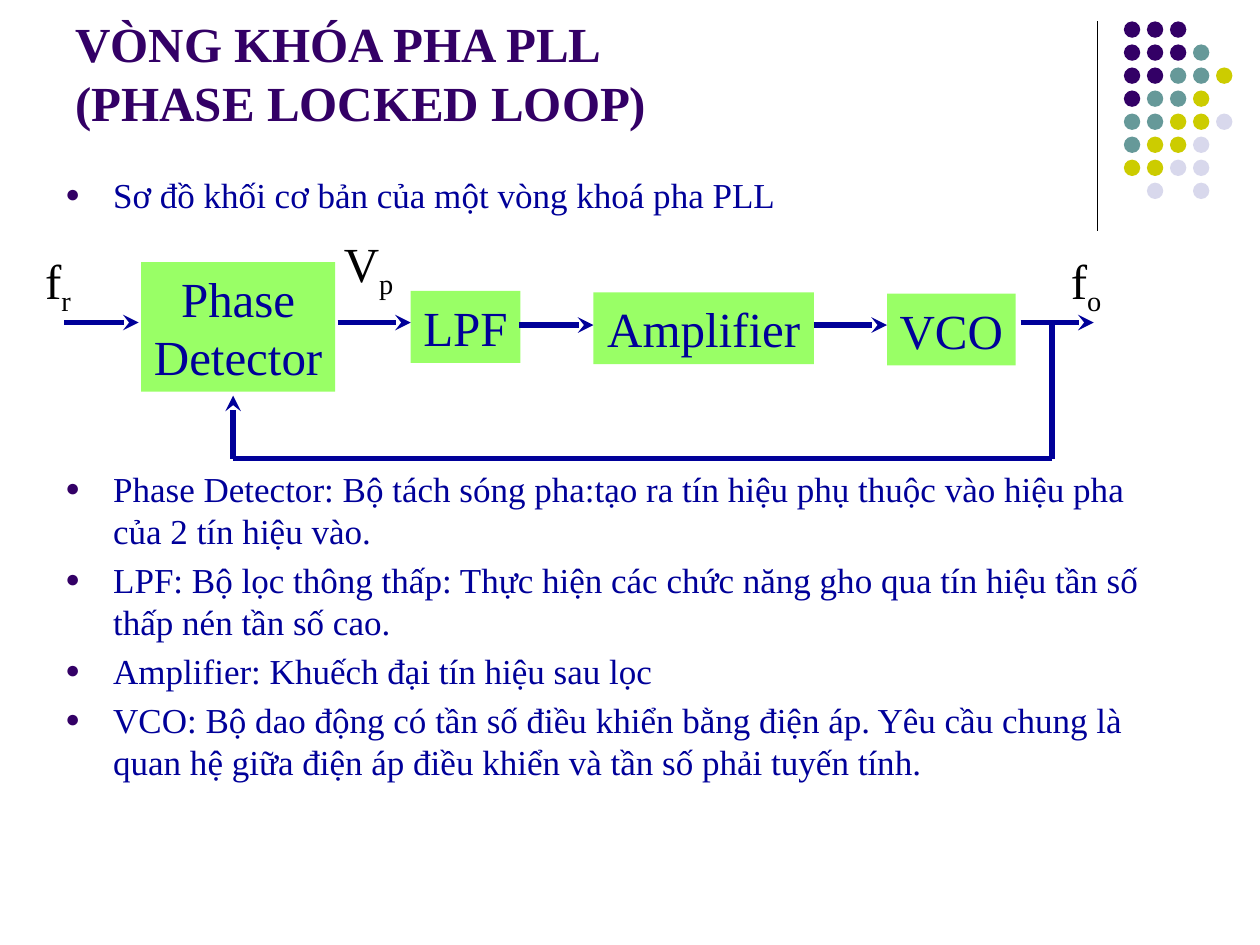
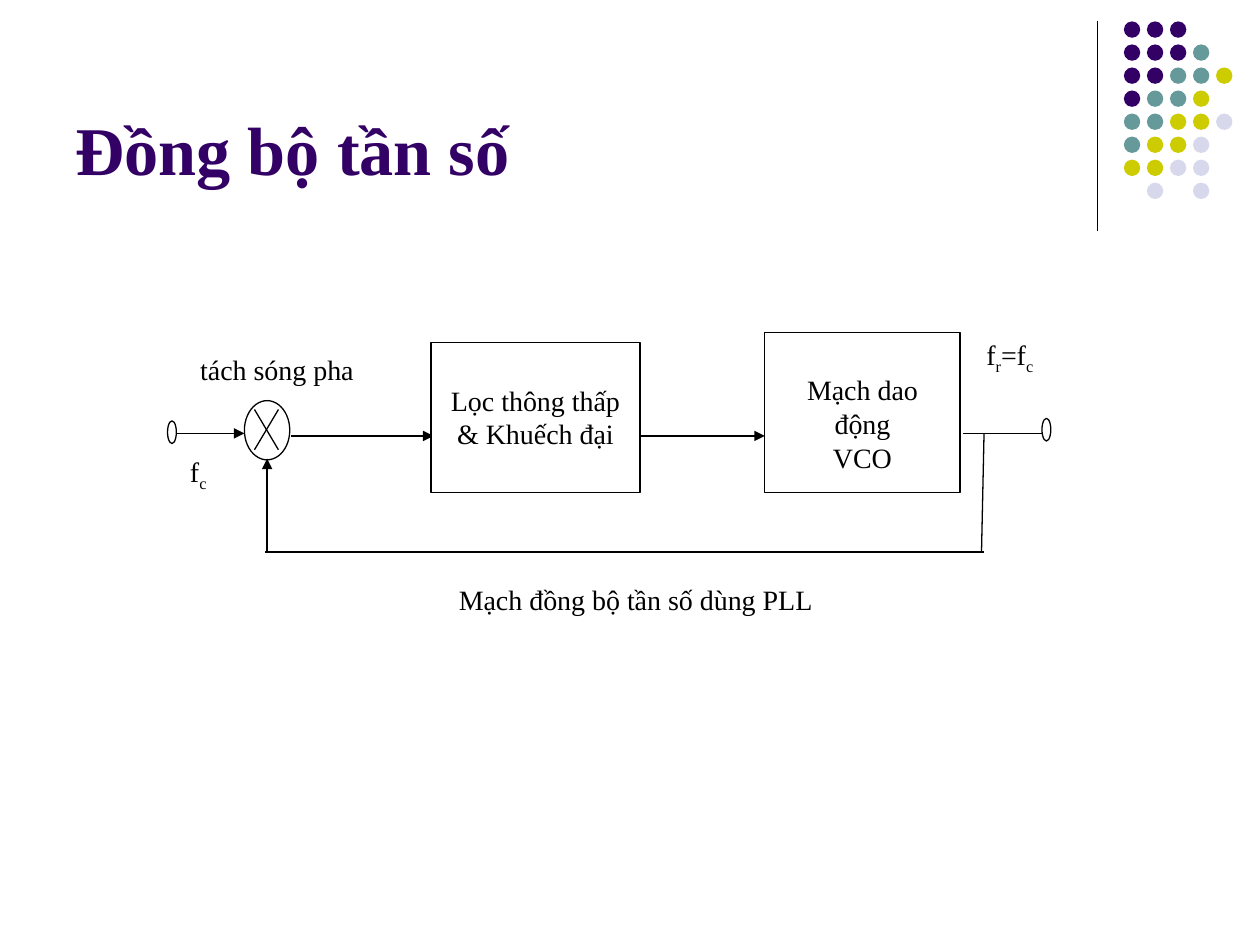
from dataclasses import dataclass

from lxml.etree import SubElement
from pptx import Presentation
from pptx.dml.color import RGBColor
from pptx.enum.shapes import MSO_CONNECTOR, MSO_SHAPE
from pptx.enum.text import MSO_ANCHOR, PP_ALIGN
from pptx.oxml.ns import qn
from pptx.util import Inches, Pt


@dataclass(frozen=True)
class Theme:
    font: str = "Times New Roman"
    purple: str = "330066"
    teal: str = "669999"
    olive: str = "CCCC00"
    lilac: str = "D8D8EC"
    navy: str = "000099"
    green: str = "99FF66"
    black: str = "000000"
    white: str = "FFFFFF"
    title_size: int = 39
    long_title_size: int = 28
    body_size: int = 20
    block_size: int = 28
    circuit_size: int = 16
    thick: float = 3
    thin: float = 0.75


THEME = Theme()
LEFT, CENTER = PP_ALIGN.LEFT, PP_ALIGN.CENTER
TOP, MIDDLE, BOTTOM = MSO_ANCHOR.TOP, MSO_ANCHOR.MIDDLE, MSO_ANCHOR.BOTTOM

# Corner ornament: one letter per dot
DOT_ROWS = ("PPP", "PPPT", "PPTTO", "PTTO", "TTOOL", "TOOL", "OOLL", " L L")
DOT_COLORS = {"P": THEME.purple, "T": THEME.teal, "O": THEME.olive, "L": THEME.lilac}
DOT_LEFT, DOT_TOP, DOT_SIZE = 8.92, 0.17, 0.13
DOT_PITCH = 1.28 / (len(DOT_ROWS) - 1)
DIVIDER = (8.71, 0.17, 8.71, 1.83)

# Slide 1: areas are left, top, width, height; wires are x1, y1, x2, y2, head
PLL_TITLE = "VÒNG KHÓA PHA PLL\v(PHASE LOCKED LOOP)"
PLL_TITLE_AREA = (0.5, 0.22, 8.25, 0.87)
PLL_POINTS = [
    ((0.42, 1.33, 9, 0.5), ["Sơ đồ khối cơ bản của một vòng khoá pha PLL"]),
    ((0.42, 3.66, 9, 2.96), [
        "Phase Detector: Bộ tách sóng pha:tạo ra tín hiệu phụ thuộc vào hiệu pha của 2 tín hiệu vào.",
        "LPF: Bộ lọc thông thấp: Thực hiện các chức năng gho qua tín hiệu tần số thấp nén tần số cao.",
        "Amplifier: Khuếch đại tín hiệu sau lọc",
        "VCO: Bộ dao động có tần số điều khiển bằng điện áp. Yêu cầu chung là quan hệ giữa "
        "điện áp điều khiển và tần số phải tuyến tính.",
    ]),
]
PLL_BLOCKS = [
    (["Phase", "Detector"], (1.12, 2.08, 1.54, 1.03)),
    (["LPF"], (3.26, 2.31, 0.87, 0.57)),
    (["Amplifier"], (4.71, 2.32, 1.75, 0.57)),
    (["VCO"], (7.04, 2.33, 1.02, 0.57)),
]
PLL_WIRES = [
    (0.51, 2.56, 1.1, 2.56, "stealth"),
    (2.68, 2.56, 3.26, 2.56, "stealth"),
    (4.12, 2.58, 4.71, 2.58, "stealth"),
    (6.46, 2.58, 7.04, 2.58, "stealth"),
    (8.1, 2.56, 8.68, 2.56, "stealth"),
    (8.35, 3.64, 8.35, 2.56, None),
    (8.35, 3.64, 1.85, 3.64, None),
    (1.85, 3.64, 1.85, 3.14, "stealth"),
]
# An underscore lowers the letter after it
PLL_SIGNALS = [
    ("f_r", (0.25, 1.97, 0.42, 0.57)),
    ("V_p", (2.62, 1.83, 0.61, 0.57)),
    ("f_o", (8.39, 1.97, 0.46, 0.57)),
]

# Slide 2
SYNC_TITLE = "Đồng bộ tần số"
SYNC_TITLE_AREA = (0.5, 0.13, 8.25, 1.42)
MIXER = (1.94, 3.18, 0.36, 0.47)
TERMINALS = [(1.33, 3.34, 0.07, 0.18), (8.27, 3.32, 0.07, 0.18)]
SYNC_WIRES = [
    (2.02, 3.25, 2.21, 3.57, None),
    (2.02, 3.57, 2.21, 3.25, None),
    (1.4, 3.44, 1.94, 3.44, "triangle"),
    (2.31, 3.46, 3.44, 3.46, "triangle"),
    (4.99, 3.46, 6.07, 3.46, "triangle"),
    (7.64, 3.44, 8.27, 3.44, None),
    (7.81, 3.44, 7.79, 4.38, None),
    (7.81, 4.38, 2.1, 4.38, None),
    (2.12, 4.38, 2.12, 3.64, "triangle"),
]
SYNC_BLOCKS = [
    (["Lọc thông thấp", "& Khuếch đại"], (3.42, 2.72, 1.66, 1.19)),
    (["Mạch dao động", "VCO"], (6.07, 2.64, 1.55, 1.27)),
]
SYNC_BLOCK_MARGIN = 0.32
SYNC_LABELS = [
    ("f_r=f_c", (7.73, 2.63, 0.77, 0.59), LEFT),
    ("f_c", (1.41, 3.56, 0.5, 0.59), LEFT),
    ("tách sóng pha", (1.49, 2.75, 1.68, 0.42), LEFT),
    ("Mạch đồng bộ tần số dùng PLL", (2.46, 4.57, 5.17, 0.52), CENTER),
]


def rgb(color):
    return RGBColor.from_string(color)


def inches(values):
    return [Inches(value) for value in values]


def style_run(run, size, color, bold=False):
    run.font.name, run.font.size, run.font.bold = THEME.font, Pt(size), bold
    run.font.color.rgb = rgb(color)


def write(shape, lines, size, color, align=LEFT, anchor=TOP, wrap=True, bold=False):
    frame = shape.text_frame
    frame.word_wrap, frame.vertical_anchor = wrap, anchor
    frame.text = "\n".join(lines)
    for paragraph in frame.paragraphs:
        paragraph.alignment = align
        for run in paragraph.runs:
            style_run(run, size, color, bold)
    return frame


def write_signal(shape, signal, size, color, **layout):
    """Write a symbol such as f_r with its index as a subscript."""
    base, *indexed = signal.split("_")
    paragraph = write(shape, [base], size, color, **layout).paragraphs[0]
    for part in indexed:
        for text, baseline in ((part[0], "-25000"), (part[1:], "0")):
            if text:
                run = paragraph.add_run()
                run.text = text
                style_run(run, size, color)
                run.font._element.set("baseline", baseline)


def add_bullets(paragraph):
    props = paragraph._p.get_or_add_pPr()
    props.set("marL", str(Inches(0.38)))
    props.set("indent", str(-Inches(0.38)))
    paragraph.space_before = Pt(4)
    bullet_color = SubElement(props, qn("a:buClr"))
    SubElement(bullet_color, qn("a:srgbClr"), val=THEME.purple)
    SubElement(props, qn("a:buSzPct"), val="70000")
    SubElement(props, qn("a:buFont"), typeface=THEME.font)
    SubElement(props, qn("a:buChar"), char="●")


def add_figure(slide, kind, area, fill, outline=None):
    figure = slide.shapes.add_shape(kind, *inches(area))
    figure.shadow.inherit = False
    figure.fill.solid()
    figure.fill.fore_color.rgb = rgb(fill)
    if outline:
        figure.line.color.rgb = rgb(outline)
        figure.line.width = Pt(THEME.thin)
    else:
        figure.line.fill.background()
    return figure


def add_wire(slide, ends, color, width, head=None):
    wire = slide.shapes.add_connector(MSO_CONNECTOR.STRAIGHT, *inches(ends))
    wire.line.color.rgb = rgb(color)
    wire.line.width = Pt(width)
    if head:
        SubElement(wire.line._get_or_add_ln(), qn("a:tailEnd"), type=head)
    SubElement(wire._element.spPr, qn("a:effectLst"))


def start_slide(deck, title, area, size):
    """Add a blank slide with the corner ornament and its title."""
    slide = deck.slides.add_slide(deck.slide_layouts[6])
    add_wire(slide, DIVIDER, THEME.black, THEME.thin)
    for row, dots in enumerate(DOT_ROWS):
        for column, dot in enumerate(dots):
            if dot in DOT_COLORS:
                spot = (DOT_LEFT + column * DOT_PITCH, DOT_TOP + row * DOT_PITCH, DOT_SIZE, DOT_SIZE)
                add_figure(slide, MSO_SHAPE.OVAL, spot, DOT_COLORS[dot])
    heading = slide.shapes.add_textbox(*inches(area))
    write(heading, [title], size, THEME.purple, anchor=BOTTOM, bold=True)
    return slide


def build_pll(deck):
    slide = start_slide(deck, PLL_TITLE, PLL_TITLE_AREA, THEME.long_title_size)
    for area, points in PLL_POINTS:
        body = slide.shapes.add_textbox(*inches(area))
        for paragraph in write(body, points, THEME.body_size, THEME.navy).paragraphs:
            add_bullets(paragraph)
    centred = dict(align=CENTER, anchor=MIDDLE, wrap=False)
    for lines, area in PLL_BLOCKS:
        block = add_figure(slide, MSO_SHAPE.RECTANGLE, area, THEME.green)
        write(block, lines, THEME.block_size, THEME.navy, **centred)
    for *ends, head in PLL_WIRES:
        add_wire(slide, ends, THEME.navy, THEME.thick, head)
    for signal, area in PLL_SIGNALS:
        label = slide.shapes.add_textbox(*inches(area))
        write_signal(label, signal, THEME.block_size, THEME.black, **centred)


def build_sync(deck):
    slide = start_slide(deck, SYNC_TITLE, SYNC_TITLE_AREA, THEME.title_size)
    add_figure(slide, MSO_SHAPE.OVAL, MIXER, THEME.white, THEME.black)
    for area in TERMINALS:
        add_figure(slide, MSO_SHAPE.FLOWCHART_CONNECTOR, area, THEME.white, THEME.black)
    for *ends, head in SYNC_WIRES:
        add_wire(slide, ends, THEME.black, THEME.thin, head)
    for lines, area in SYNC_BLOCKS:
        block = add_figure(slide, MSO_SHAPE.RECTANGLE, area, THEME.white, THEME.black)
        frame = write(block, lines, THEME.circuit_size, THEME.black, align=CENTER)
        frame.margin_top = Inches(SYNC_BLOCK_MARGIN)
    for signal, area, align in SYNC_LABELS:
        label = slide.shapes.add_textbox(*inches(area))
        write_signal(label, signal, THEME.circuit_size, THEME.black, align=align)


def main():
    deck = Presentation()
    deck.slide_width, deck.slide_height = Inches(10), Inches(7.5)
    build_pll(deck)
    build_sync(deck)
    deck.save("out.pptx")


if __name__ == "__main__":
    main()
